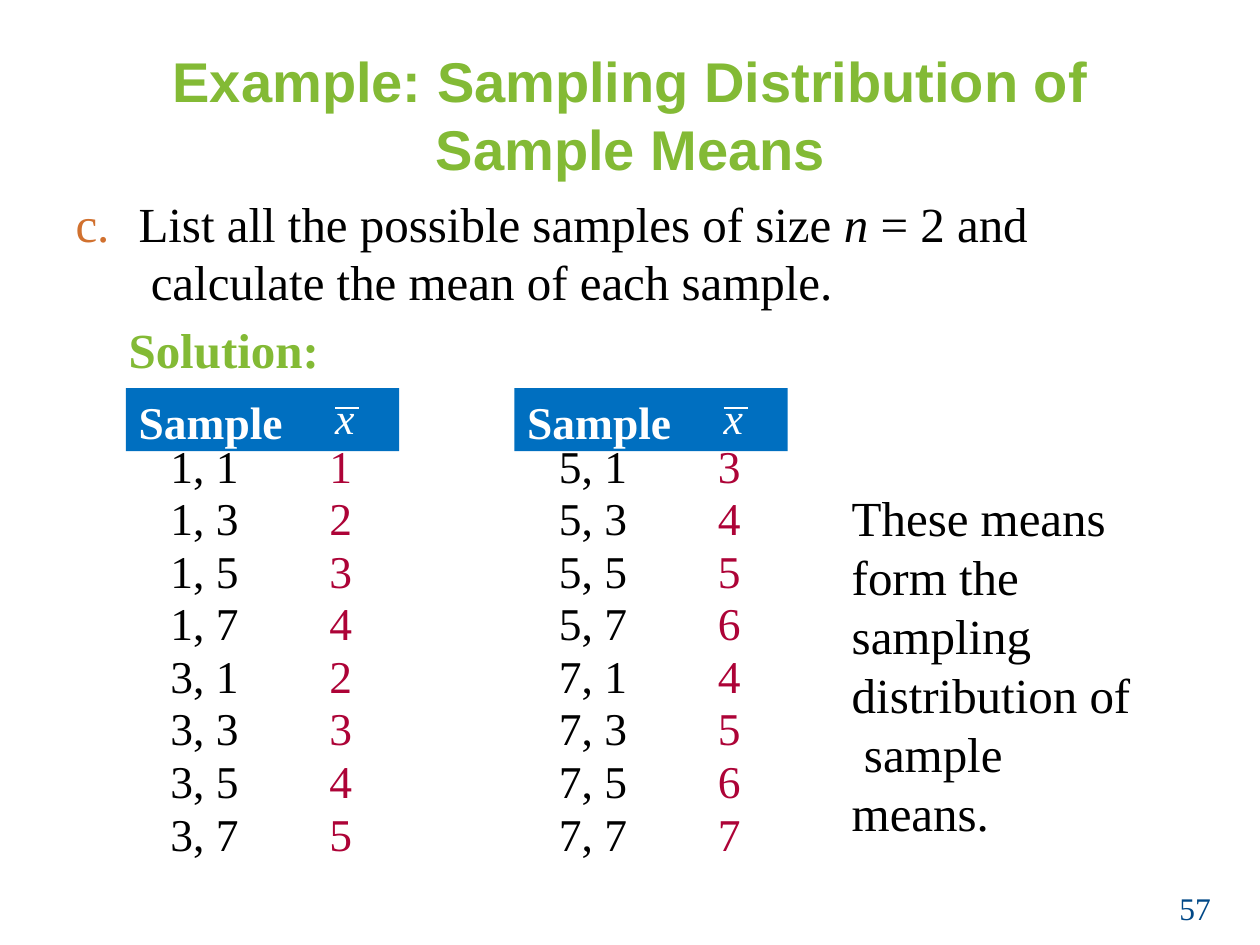
import pptx
import pptx.util
import pptx.dml.color
import pptx.enum.shapes
import pptx.enum.text
import lxml.etree

Pt = pptx.util.Pt
Align = pptx.enum.text.PP_ALIGN
SERIF = "Times New Roman"
GREEN, BLACK, WHITE = "83BA35", "000000", "FFFFFF"
BODY = {"name": SERIF, "size": Pt(28), "color": BLACK}
CELL = {"name": SERIF, "size": Pt(26), "color": BLACK}


def colour(text):
    return pptx.dml.color.RGBColor.from_string(text)


def add_box(page, left, top, width, height):
    box = page.shapes.add_textbox(Pt(left), Pt(top), Pt(width), Pt(height))
    frame = box.text_frame
    margins = {"margin_left": 0, "margin_right": 0, "margin_top": Pt(0.9), "margin_bottom": 0}
    for name, value in {**margins, "word_wrap": True}.items():
        setattr(frame, name, value)
    return box


def add_span(para, text, formats):
    span = para.add_run()
    span.text = text
    for name, value in formats.items():
        if name == "color":
            span.font.color.rgb = colour(value)
        else:
            setattr(span.font, name, value)


def write_lines(para, lines, formats, **layout):
    for name, value in layout.items():
        setattr(para, name, value)
    for index, line in enumerate(lines):
        if index:
            para.add_line_break()
        for text, changes in line:
            add_span(para, text, {**formats, **changes})


def write_plain(para, lines, formats, **layout):
    write_lines(para, [[(line, {})] for line in lines], formats, **layout)


def set_indent(para, left, first):
    properties = para._p.get_or_add_pPr()
    properties.set("marL", str(Pt(left)))
    properties.set("indent", str(Pt(first)))


def add_title(page, left, top, width, height):
    box = add_box(page, left, top, width, height)
    formats = {"name": "Arial", "size": Pt(32), "bold": True, "color": GREEN}
    lines = ["Example: Sampling Distribution of", "Sample Means"]
    write_plain(box.text_frame.paragraphs[0], lines, formats,
                alignment=Align.CENTER, space_before=Pt(1.1))


def add_question(page, left, top, width, height):
    frame = add_box(page, left, top, width, height).text_frame
    para = frame.paragraphs[0]
    lines = [
        [("c.\t", {"color": "D1712F"}), ("List all the possible samples of size ", {}),
         ("n", {"italic": True}), (" = 2 and", {})],
        [(" calculate the mean of each sample.", {})],
    ]
    write_lines(para, lines, BODY, space_before=Pt(0.9))
    set_indent(para, 36.7, -36)
    answer = frame.add_paragraph()
    write_plain(answer, ["Solution:"], {**BODY, "bold": True, "color": GREEN},
                space_before=Pt(4.8))
    set_indent(answer, 31, 0)


def add_column(page, left, top, width, values, text_colour):
    frame = add_box(page, left, top, width, 243.4).text_frame
    last = len(values) - 1
    for index, value in enumerate(values):
        para = frame.add_paragraph() if index else frame.paragraphs[0]
        write_plain(para, [value], {**CELL, "color": text_colour},
                    line_spacing=Pt(30.6 if index in (0, last) else 30),
                    space_before=Pt(0 if index else 1.1))


def add_samples(page, left, top, width, firsts):
    band = page.shapes.add_shape(pptx.enum.shapes.MSO_SHAPE.RECTANGLE,
                                 Pt(left), Pt(top), Pt(width), Pt(36))
    band.shadow.inherit = False
    band.fill.solid()
    band.fill.fore_color.rgb = colour("006FC0")
    band.line.fill.background()

    heading = add_box(page, left + 7.2, top + 2.2, 90, 33.1)
    write_plain(heading.text_frame.paragraphs[0], ["Sample"],
                {**CELL, "bold": True, "color": WHITE}, space_before=Pt(1.1))
    symbol = add_box(page, left + 119.5, top + 0.7, 20, 32.4)
    write_plain(symbol.text_frame.paragraphs[0], ["x"],
                {**CELL, "size": Pt(25), "italic": True, "color": WHITE},
                space_before=Pt(1.1))

    bar = page.shapes.add_connector(pptx.enum.shapes.MSO_CONNECTOR.STRAIGHT,
                                    Pt(left + 119.5), Pt(top + 11.5),
                                    Pt(left + 133.2), Pt(top + 11.5))
    bar.line.color.rgb = colour(WHITE)
    bar.line.width = Pt(1.23)
    lxml.etree.SubElement(bar._element.spPr, pptx.oxml.ns.qn("a:effectLst"))

    pairs = [(first, second) for first in firsts for second in (1, 3, 5, 7)]
    samples = [f"{first}, {second}" for first, second in pairs]
    means = [str((first + second) // 2) for first, second in pairs]
    add_column(page, left + 25.4, top + 28.1, 42, samples, BLACK)
    add_column(page, left + 116.2, top + 28.1, 16, means, "AD0337")


def add_remark(page, left, top, width, height):
    box = add_box(page, left, top, width, height)
    lines = ["These means", "form the", "sampling", "distribution of", " sample", "means."]
    write_plain(box.text_frame.paragraphs[0], lines, BODY, space_before=Pt(0.9))


def add_page_number(page, left, top, width, height):
    box = add_box(page, left, top, width, height)
    box.text_frame.margin_top = 0
    write_plain(box.text_frame.paragraphs[0], ["57"],
                {"name": SERIF, "size": Pt(18), "color": "004887"}, line_spacing=Pt(20.6))


def main():
    deck = pptx.Presentation()
    deck.slide_width, deck.slide_height = Pt(720), Pt(540)
    page = deck.slides.add_slide(deck.slide_layouts[6])
    add_title(page, 61.9, 25.9, 596.9, 79.2)
    add_question(page, 42.5, 109.4, 560, 107.3)
    for left, firsts in ((72, (1, 3)), (294, (5, 7))):
        add_samples(page, left, 221.8, 156.2, firsts)
    add_remark(page, 486.7, 277.9, 170, 203)
    add_page_number(page, 673.9, 509, 29, 21.6)
    deck.save("out.pptx")


if __name__ == "__main__":
    main()
